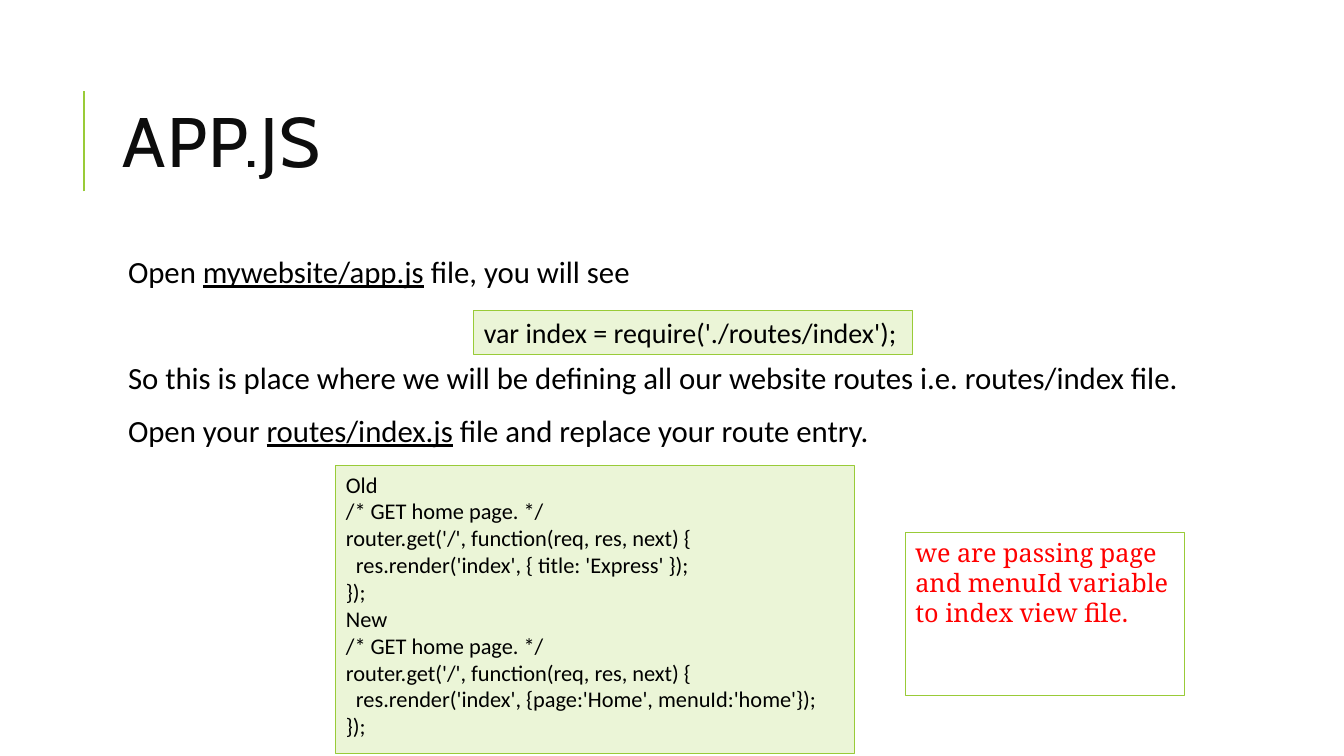
from lxml.etree import SubElement
from pptx import Presentation
from pptx.dml.color import RGBColor
from pptx.enum.shapes import MSO_CONNECTOR, MSO_SHAPE
from pptx.enum.text import MSO_ANCHOR, MSO_AUTO_SIZE, PP_ALIGN
from pptx.oxml.ns import qn
from pptx.util import Inches, Pt

SLIDE_WIDTH, SLIDE_HEIGHT = Inches(13.33), Inches(7.5)
GREEN = RGBColor(0x99, 0xCB, 0x38)
PALE_GREEN = RGBColor(0xEB, 0xF5, 0xD7)
TITLE_INK = RGBColor(0x0D, 0x0D, 0x0D)
BLACK = RGBColor(0, 0, 0)
RED = RGBColor(0xFF, 0, 0)

# Each statement: space before in points, then (text, underlined) pieces.
# The second one leaves a line's room for the require() box.
STATEMENTS = [
    (12, [("Open ", False), ("mywebsite/app.js", True),
          (" file, you will see", False)]),
    (50, [("So this is place where we will be defining all our website "
           "routes i.e. routes/index file.", False)]),
    (12, [("Open your ", False), ("routes/index.js", True),
          (" file and replace your route entry.", False)]),
]
REQUIRE_LINE = ["var index = require('./routes/index');"]
VERSIONS = [
    ("Old", "res.render('index', { title: 'Express' });"),
    ("New", "res.render('index', {page:'Home', menuId:'home'});"),
]
NOTE = ["we are passing page and menuId variable to index view file."]


def across(percent):
    """Turn a percentage of the slide's width into a length."""
    return round(SLIDE_WIDTH * percent / 100)


def down(percent):
    """Turn a percentage of the slide's height into a length."""
    return round(SLIDE_HEIGHT * percent / 100)


def area(left, top, width, height):
    """Turn percentages of the slide into a position and size."""
    return across(left), down(top), across(width), down(height)


def move(placeholder, place):
    """Move a placeholder to a place on the slide."""
    (placeholder.left, placeholder.top,
     placeholder.width, placeholder.height) = place


def style(run, size, face, color):
    """Set the size, typeface and colour of a run."""
    run.font.size = Pt(size)
    run.font.name = face
    run.font.color.rgb = color


def indent(paragraph, length):
    """Indent a whole paragraph, without a bullet."""
    properties = paragraph._p.get_or_add_pPr()
    properties.set("marL", str(length))
    properties.set("indent", "0")


def add_accent(slide):
    """Draw the upright line beside the title."""
    accent = slide.shapes.add_connector(
        MSO_CONNECTOR.STRAIGHT,
        across(6.25), down(25.33), across(6.25), down(12))
    accent.line.color.rgb = GREEN
    accent.line.width = Pt(1.5)
    SubElement(accent._element.spPr, qn("a:effectLst"))


def fill_title(title, text):
    """Write the slide's heading."""
    move(title, area(8.4, 8.53, 79.75, 21.87))
    frame = title.text_frame
    frame.text = text
    frame.auto_size = MSO_AUTO_SIZE.NONE
    frame.vertical_anchor = MSO_ANCHOR.MIDDLE
    heading = frame.paragraphs[0]
    heading.alignment = PP_ALIGN.LEFT
    heading.line_spacing = 0.8
    style(heading.runs[0], 50, "Cabin", TITLE_INK)
    heading.runs[0].font._element.set("spc", "100")


def fill_body(body, statements):
    """Write the statements, underlining the file names."""
    move(body, area(8.4, 33.33, 79.75, 58.67))
    frame = body.text_frame
    frame.text = "\n".join("" for _ in statements)
    frame.auto_size = MSO_AUTO_SIZE.NONE
    frame.vertical_anchor = MSO_ANCHOR.TOP
    frame.margin_left = frame.margin_right = Inches(0.05)
    frame.margin_top = frame.margin_bottom = Inches(0.05)
    for paragraph, (space_before, pieces) in zip(frame.paragraphs, statements):
        indent(paragraph, Inches(0.1))
        paragraph.line_spacing = 0.9
        paragraph.space_before = Pt(space_before)
        paragraph.space_after = Pt(2)
        SubElement(paragraph._p.get_or_add_pPr(), qn("a:buNone"))
        for text, underlined in pieces:
            piece = paragraph.add_run()
            piece.text = text
            style(piece, 22, "Calibri", BLACK)
            piece.font.underline = underlined


def add_box(slide, place, lines, size, face="Calibri", color=BLACK,
            fill=PALE_GREEN, wrap=True):
    """Add a green-edged box of left-aligned lines and return its paragraphs."""
    box = slide.shapes.add_shape(MSO_SHAPE.RECTANGLE, *place)
    box.shadow.inherit = False
    if fill is None:
        box.fill.background()
    else:
        box.fill.solid()
        box.fill.fore_color.rgb = fill
    box.line.color.rgb = GREEN
    box.line.width = Pt(0.75)
    frame = box.text_frame
    frame.text = "\n".join(lines)
    frame.word_wrap = wrap
    frame.vertical_anchor = MSO_ANCHOR.TOP
    for paragraph in frame.paragraphs:
        paragraph.alignment = PP_ALIGN.LEFT
        style(paragraph.runs[0], size, face, color)
    return frame.paragraphs


def add_route_entries(slide):
    """Show the old and new route entry, with the handler body indented."""
    lines = []
    for version, render in VERSIONS:
        lines += [version, "/* GET home page. */",
                  "router.get('/', function(req, res, next) {", render, "});"]
    place = area(25, 61.6, 38.56, 38.13)
    for paragraph in add_box(slide, place, lines, 16):
        if paragraph.text.startswith("res."):
            indent(paragraph, Inches(0.1))


def main():
    """Build and save the slide."""
    deck = Presentation()
    deck.slide_width, deck.slide_height = SLIDE_WIDTH, SLIDE_HEIGHT
    slide = deck.slides.add_slide(deck.slide_layouts[1])
    add_accent(slide)
    fill_title(slide.shapes.title, "APP.JS")
    fill_body(slide.placeholders[1], STATEMENTS)
    add_box(slide, area(35.26, 41.07, 32.63, 5.87), REQUIRE_LINE, 20, wrap=False)
    add_route_entries(slide)
    add_box(slide, area(67.37, 70.4, 20.78, 21.6), NOTE, 18,
            face="Noto Serif", color=RED, fill=None)
    deck.save("out.pptx")


main()
